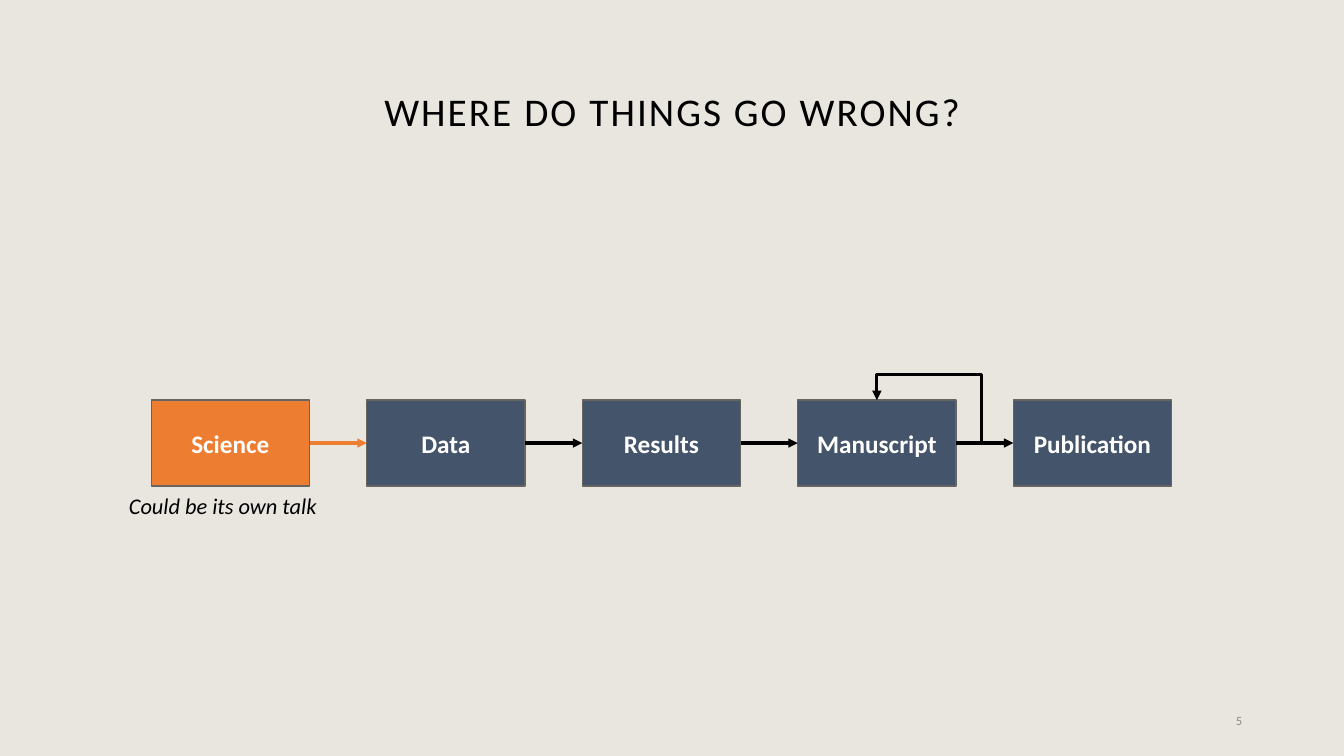
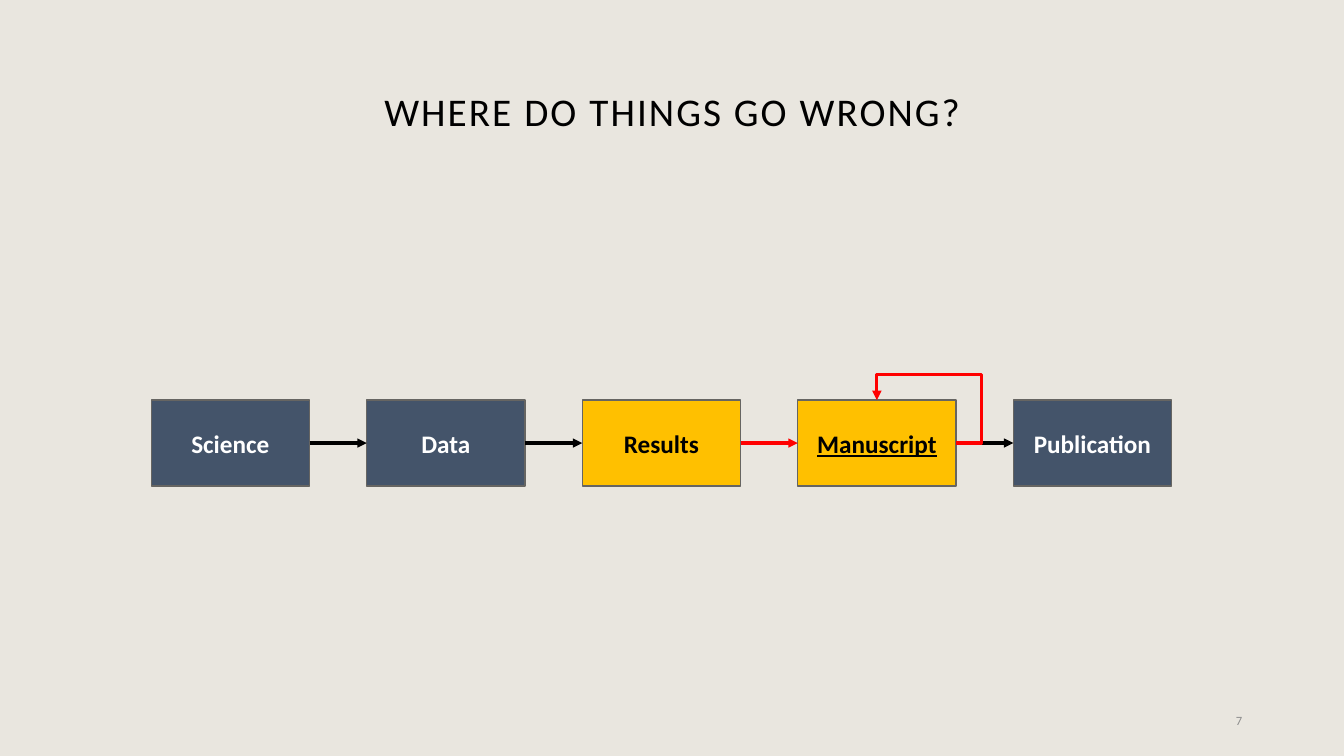
from lxml import etree
from pptx import Presentation
from pptx.dml.color import RGBColor
from pptx.enum.shapes import MSO_CONNECTOR, MSO_SHAPE
from pptx.enum.text import MSO_ANCHOR, PP_ALIGN
from pptx.oxml.ns import qn
from pptx.util import Inches, Pt

STRAIGHT, ELBOW = MSO_CONNECTOR.STRAIGHT, MSO_CONNECTOR.ELBOW
RECTANGLE = MSO_SHAPE.RECTANGLE
TOP, MIDDLE = MSO_ANCHOR.TOP, MSO_ANCHOR.MIDDLE
LEFT, CENTER, RIGHT = PP_ALIGN.LEFT, PP_ALIGN.CENTER, PP_ALIGN.RIGHT

BACKGROUND = RGBColor(0xE9, 0xE6, 0xDF)
BLACK = RGBColor(0x00, 0x00, 0x00)
WHITE = RGBColor(0xFF, 0xFF, 0xFF)
SLATE = RGBColor(0x44, 0x54, 0x6A)
ORANGE = RGBColor(0xED, 0x7D, 0x31)
GOLD = RGBColor(0xFF, 0xC0, 0x00)
RED = RGBColor(0xFF, 0x00, 0x00)
BORDER = RGBColor(0x66, 0x65, 0x62)
GRAY = RGBColor(0x8C, 0x8C, 0x8C)
FONT = "Calibri"

# Content: steps and arrows are keyed by the index of their (source) step
TITLE = "WHERE DO THINGS GO WRONG?"
STEPS = ["Science", "Data", "Results", "Manuscript", "Publication"]
MANUSCRIPT = STEPS.index("Manuscript")
SLIDES = [
    {"number": "5", "fills": {0: ORANGE}, "text": {}, "underlined": [],
     "arrows": {0: ORANGE}, "loop": BLACK, "note": "Could be its own talk"},
    {"number": "7", "fills": {2: GOLD, 3: GOLD}, "text": {2: BLACK, 3: BLACK},
     "underlined": [3], "arrows": {2: RED}, "loop": RED, "note": None},
]

# Flow geometry, in inches
FIRST_LEFT, LAST_LEFT, STEP_TOP = 1.5, 10.05, 3.97
STEP_WIDTH, STEP_HEIGHT = 1.57, 0.85
PITCH = (LAST_LEFT - FIRST_LEFT) / (len(STEPS) - 1)
LOOP_MARGIN = 0.25
SITE_TOP, SITE_LEFT, SITE_RIGHT = 0, 1, 3


def write(shape, text, size, color, align, anchor=MIDDLE, **style):
    frame = shape.text_frame
    frame.text = text
    frame.vertical_anchor = anchor
    para = frame.paragraphs[0]
    para.alignment = align
    font = para.runs[0].font
    font.name, font.size = FONT, Pt(size)
    font.color.rgb = color
    for name, value in style.items():
        setattr(font, name, value)
    return para


def add_text(page, place, text, size, color, align, wrap=True, **style):
    box = page.shapes.add_textbox(*map(Inches, place))
    box.text_frame.word_wrap = wrap
    return write(box, text, size, color, align, **style)


def add_step(page, index, fill, color, underlined):
    box = page.shapes.add_shape(
        RECTANGLE, Inches(FIRST_LEFT + index * PITCH), Inches(STEP_TOP),
        Inches(STEP_WIDTH), Inches(STEP_HEIGHT))
    box.shadow.inherit = False
    box.fill.solid()
    box.fill.fore_color.rgb = fill
    box.line.color.rgb = BORDER
    box.line.width = Pt(1)
    write(box, STEPS[index], 18, color, CENTER, bold=True, underline=underlined)
    return box


def add_arrow(page, kind, start, start_site, end, end_site, color):
    arrow = page.shapes.add_connector(kind, 0, 0, 0, 0)
    arrow.begin_connect(start, start_site)
    arrow.end_connect(end, end_site)
    arrow.line.color.rgb = color
    arrow.line.width = Pt(2.25)
    etree.SubElement(arrow.line._get_or_add_ln(), qn("a:tailEnd"), type="triangle")
    etree.SubElement(arrow._element.spPr, qn("a:effectLst"))
    return arrow


def add_loop(page, box, color):
    """Arrow from the right side of a step, up and back to its top."""
    loop = add_arrow(page, ELBOW, box, SITE_RIGHT, box, SITE_TOP, color)
    geometry = loop._element.spPr.find(qn("a:prstGeom"))
    geometry.set("prst", "bentConnector4")
    guides = geometry.find(qn("a:avLst"))
    if guides is None:
        guides = etree.SubElement(geometry, qn("a:avLst"))
    ratios = {"adj1": -LOOP_MARGIN / (STEP_WIDTH / 2),
              "adj2": 1 + LOOP_MARGIN / (STEP_HEIGHT / 2)}
    for name, ratio in ratios.items():
        etree.SubElement(guides, qn("a:gd"), name=name,
                         fmla=f"val {round(ratio * 100000)}")


def add_frame(page, number):
    """Background, title and slide number shared by all slides."""
    page.background.fill.solid()
    page.background.fill.fore_color.rgb = BACKGROUND
    para = add_text(page, (0.92, 0.4, 11.5, 1.45), TITLE, 28, BLACK, CENTER)
    para.line_spacing = 0.9
    para.runs[0].font._element.set("spc", "150")
    add_text(page, (9.42, 6.95, 3, 0.4), number, 9, GRAY, RIGHT)


def build_slide(deck, content):
    page = deck.slides.add_slide(deck.slide_layouts[6])
    add_frame(page, content["number"])

    # Steps
    boxes = [add_step(page, index, content["fills"].get(index, SLATE),
                      content["text"].get(index, WHITE),
                      index in content["underlined"])
             for index in range(len(STEPS))]

    # Arrows between neighbours, then the revision loop
    for index, (start, end) in enumerate(zip(boxes, boxes[1:])):
        add_arrow(page, STRAIGHT, start, SITE_RIGHT, end, SITE_LEFT,
                  content["arrows"].get(index, BLACK))
    add_loop(page, boxes[MANUSCRIPT], content["loop"])

    # Remark under the first step
    if content["note"]:
        add_text(page, (1.18, 4.83, 2.23, 0.37), content["note"], 16, BLACK,
                 LEFT, wrap=False, anchor=TOP, italic=True)


def main():
    deck = Presentation()
    deck.slide_width, deck.slide_height = Inches(13.33), Inches(7.5)
    for content in SLIDES:
        build_slide(deck, content)
    deck.save("out.pptx")


if __name__ == "__main__":
    main()
